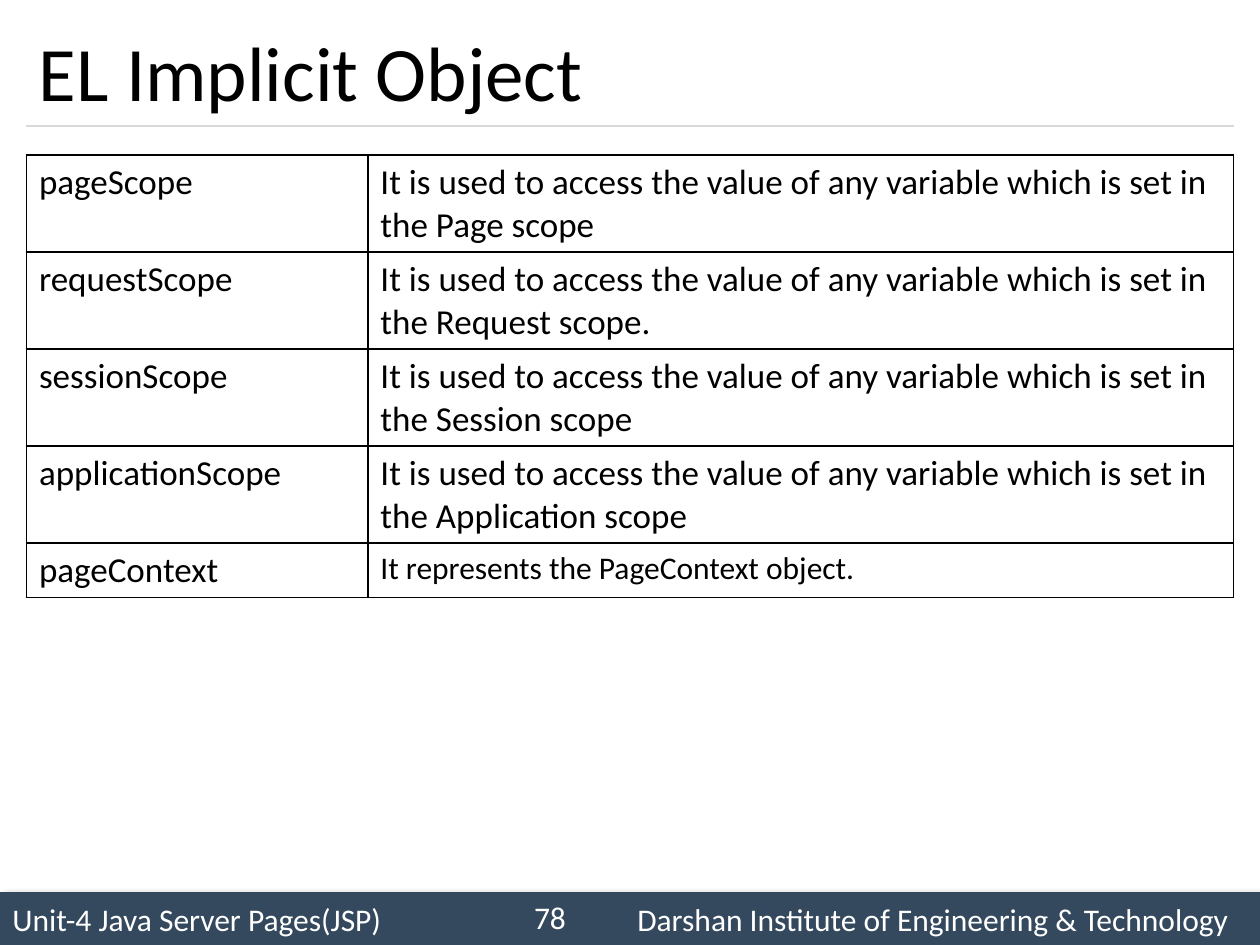
from lxml.etree import SubElement as Sub
from pptx import Presentation
from pptx.dml.color import RGBColor
from pptx.enum.shapes import MSO_CONNECTOR as Conn, MSO_SHAPE as Shape
from pptx.enum.text import MSO_ANCHOR as Anchor, PP_ALIGN as Align
from pptx.oxml.ns import qn
from pptx.util import Emu, Inches, Pt

BLACK = RGBColor(0, 0, 0)
WHITE = RGBColor(255, 255, 255)
NAVY = RGBColor(0x34, 0x49, 0x5E)
GREY = RGBColor(0xD9, 0xD9, 0xD9)

LEFT, WIDE = 0.21, 9.58
COLS = (2.71, 6.87)
TOP, TALL, SHORT = 1.23, 0.77, 0.43
SCOPE = "It is used to access the value of any variable which is set in the "
ROWS = [
    ("pageScope", SCOPE + "Page scope", TALL, 20),
    ("requestScope", SCOPE + "Request scope.", TALL, 20),
    ("sessionScope", SCOPE + "Session scope", TALL, 20),
    ("applicationScope", SCOPE + "Application scope", TALL, 20),
    ("pageContext", "It represents the PageContext object.", SHORT, 18),
]


class Deck:
    font = "Calibri"

    def __init__(self):
        self.prs = Presentation()
        self.prs.slide_width, self.prs.slide_height = Inches(10), Inches(7.5)
        self.slide = self.prs.slides.add_slide(self.prs.slide_layouts[6])
        self.shapes = self.slide.shapes

    def label(self, frame, text, size, color, align=Align.LEFT, tab=None):
        para = frame.paragraphs[0]
        para.text = text
        para.alignment = align
        if tab:
            stops = Sub(para._p.get_or_add_pPr(), qn("a:tabLst"))
            Sub(stops, qn("a:tab"), pos=str(Inches(tab)), algn="l")
        for run in para.runs:
            for name, value in {"name": self.font, "size": Pt(size)}.items():
                setattr(run.font, name, value)
            run.font.color.rgb = color

    def bar(self, x, y, w, h, text, tab):
        bar = self.shapes.add_shape(Shape.RECTANGLE, *map(Inches, (x, y, w, h)))
        bar.fill.solid()
        bar.fill.fore_color.rgb = NAVY
        bar.line.fill.background()
        bar.shadow.inherit = False
        glow = Sub(bar._element.spPr.find(qn("a:effectLst")), qn("a:outerShdw"),
                   blurRad=str(Pt(4)), dist=str(Pt(3)), dir=str(45 * 60000))
        tint = Sub(glow, qn("a:srgbClr"), val=str(BLACK))
        Sub(tint, qn("a:alpha"), val="40000")
        bar.text_frame.vertical_anchor = Anchor.MIDDLE
        self.label(bar.text_frame, text, 18, WHITE, tab=tab)

    def rule(self, x, y, w):
        line = self.shapes.add_connector(Conn.STRAIGHT, *map(Inches, (x, y, x + w, y)))
        line.line.color.rgb = GREY
        line.line.width = Pt(0.75)
        Sub(line._element.spPr, qn("a:effectLst"))

    def text(self, x, y, w, h, text, size, color, align=Align.LEFT):
        frame = self.shapes.add_textbox(*map(Inches, (x, y, w, h))).text_frame
        for name, value in {"word_wrap": True, "vertical_anchor": Anchor.MIDDLE}.items():
            setattr(frame, name, value)
        self.label(frame, text, size, color, align)

    def border(self, cell):
        props = cell._tc.get_or_add_tcPr()
        for side in ("lnL", "lnR", "lnT", "lnB"):
            line = Sub(props, qn("a:" + side), w=str(Pt(1)))
            Sub(Sub(line, qn("a:solidFill")), qn("a:srgbClr"), val=str(BLACK))

    def table(self, x, y, h, cols, cells):
        box = map(Inches, (x, y, sum(cols), h))
        table = self.shapes.add_table(1, len(cols), *box).table
        table.first_row = table.horz_banding = False
        for col, wide, cell, (text, size) in zip(table.columns, cols, table.rows[0].cells, cells):
            col.width = Emu(Inches(wide))
            self.border(cell)
            cell.fill.background()
            self.label(cell.text_frame, text, size, BLACK)


def main():
    deck = Deck()
    deck.bar(0, 7.08, 10, 0.42,
             "Unit-4 Java Server Pages(JSP)\tDarshan Institute of Engineering & Technology", 4.96)
    deck.rule(LEFT, 1, WIDE)
    deck.text(LEFT, 0.12, WIDE, 0.88, "EL Implicit Object", 44, BLACK)
    deck.text(3.92, 7.08, 0.67, 0.4, "78", 18, WHITE, Align.RIGHT)
    top = TOP
    for name, use, high, size in ROWS:
        deck.table(LEFT, top, high, COLS, [(name, 20), (use, size)])
        top += high
    deck.prs.save("out.pptx")


if __name__ == "__main__":
    main()
